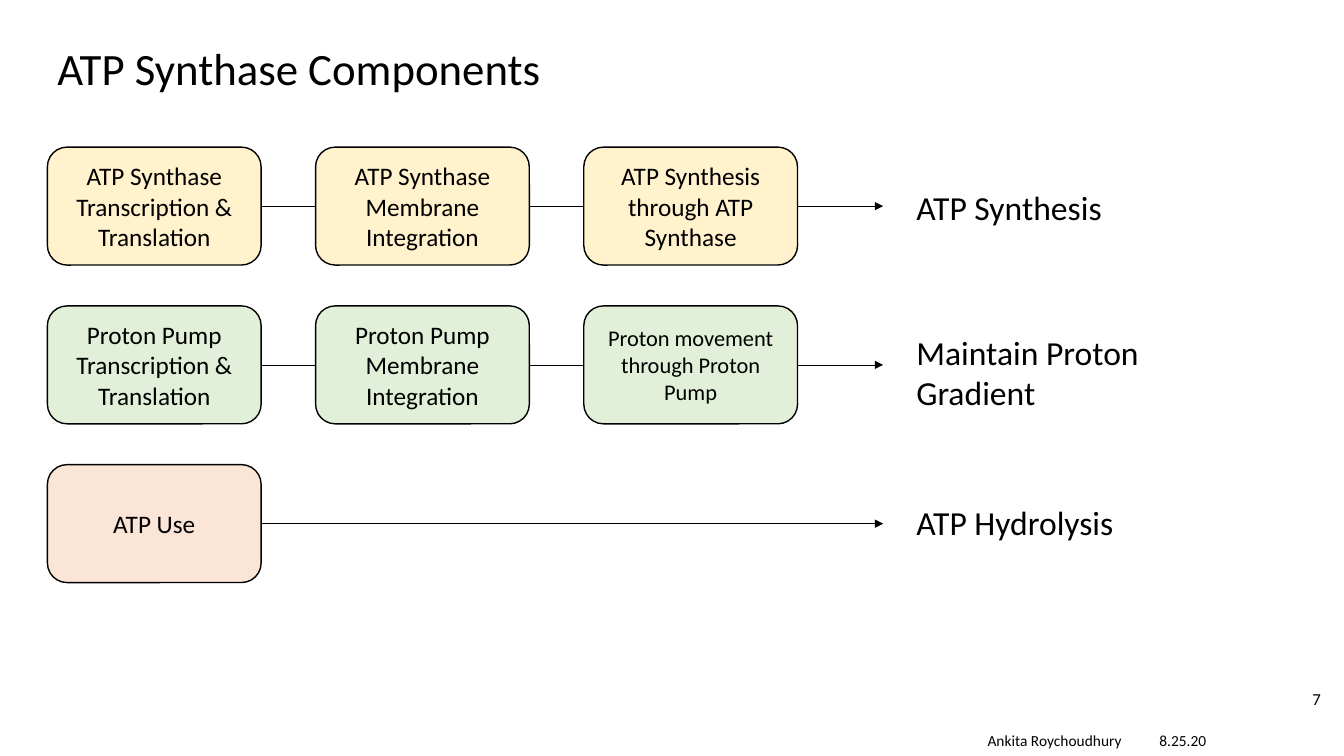
from pptx import Presentation
from pptx.dml.color import RGBColor
from pptx.enum.shapes import MSO_CONNECTOR, MSO_SHAPE
from pptx.enum.text import MSO_ANCHOR, PP_ALIGN
from pptx.oxml.ns import qn
from pptx.util import Inches, Pt
from lxml.etree import SubElement

COLORS = {"ink": "000000", "gold": "FFF2CC", "green": "E2F0D9", "peach": "FBE5D6"}
LEFT, TOP, WIDE, HIGH = 0.47, 1.46, 2.12, 1.17
STEP, DROP, END = 2.66, 1.575, 8.76

deck = Presentation()
deck.slide_width, deck.slide_height = Inches(13.33), Inches(7.5)
slide = deck.slides.add_slide(deck.slide_layouts[6])
shapes = slide.shapes
ink = RGBColor.from_string(COLORS["ink"])


def write(text, at=None, shape=None, size=18, align=PP_ALIGN.LEFT,
          anchor=MSO_ANCHOR.TOP, space=None):
    shape = shape or shapes.add_textbox(*map(Inches, at))
    frame = shape.text_frame
    frame.word_wrap = True
    frame.vertical_anchor = anchor
    para = frame.paragraphs[0]
    para.text = text
    para.alignment = align
    para.line_spacing = space
    para.font.name = "Calibri"
    para.font.size = Pt(size)
    para.font.color.rgb = ink


def link(start, stop=None):
    x, y = start.left + start.width, start.top + start.height // 2
    line = shapes.add_connector(MSO_CONNECTOR.STRAIGHT, x, y, Inches(END), y)
    line.begin_connect(start, 3)
    if stop:
        line.end_connect(stop, 1)
    line.line.color.rgb = ink
    line.line.width = Pt(0.5)
    if not stop:
        SubElement(line.line._get_or_add_ln(), qn("a:tailEnd"), type="triangle")
    SubElement(line._element.spPr, qn("a:effectLst"))


write("ATP Synthase Components", at=(0.47, 0.46, 8.21, 0.56), size=32, space=0.8)

rows = [
    ("gold", [("ATP Synthase Transcription & Translation", 18),
              ("ATP Synthase Membrane Integration", 18),
              ("ATP Synthesis through ATP Synthase", 18)],
     "ATP Synthesis", (8.99, 1.81, 2.35, 0.5)),
    ("green", [("Proton Pump Transcription & Translation", 18),
               ("Proton Pump Membrane Integration", 18),
               ("Proton movement through Proton Pump", 16)],
     "Maintain Proton Gradient", (8.99, 3.24, 2.73, 0.91)),
    ("peach", [("ATP Use", 18)],
     "ATP Hydrolysis", (8.99, 4.93, 2.73, 0.5)),
]

for row, (color, steps, result, place) in enumerate(rows):
    last = None
    for col, (text, size) in enumerate(steps):
        box = shapes.add_shape(
            MSO_SHAPE.ROUNDED_RECTANGLE, Inches(LEFT + col * STEP),
            Inches(TOP + row * DROP), Inches(WIDE), Inches(HIGH))
        box.shadow.inherit = False
        box.fill.solid()
        box.fill.fore_color.rgb = RGBColor.from_string(COLORS[color])
        box.line.color.rgb = ink
        box.line.width = Pt(1)
        write(text, shape=box, size=size, align=PP_ALIGN.CENTER,
              anchor=MSO_ANCHOR.MIDDLE)
        if last:
            link(last, box)
        last = box
    link(last)
    write(result, at=place, size=24)

for text, at, size, align in [
    ("Ankita Roychoudhury", (9.52, 7.15, 1.88, 0.4), 11, PP_ALIGN.CENTER),
    ("8.25.20", (11.4, 7.15, 0.92, 0.4), 11, PP_ALIGN.LEFT),
    ("7", (12.78, 6.73, 0.42, 0.4), 12, PP_ALIGN.RIGHT),
]:
    write(text, at=at, size=size, align=align, anchor=MSO_ANCHOR.MIDDLE)

deck.save("out.pptx")
